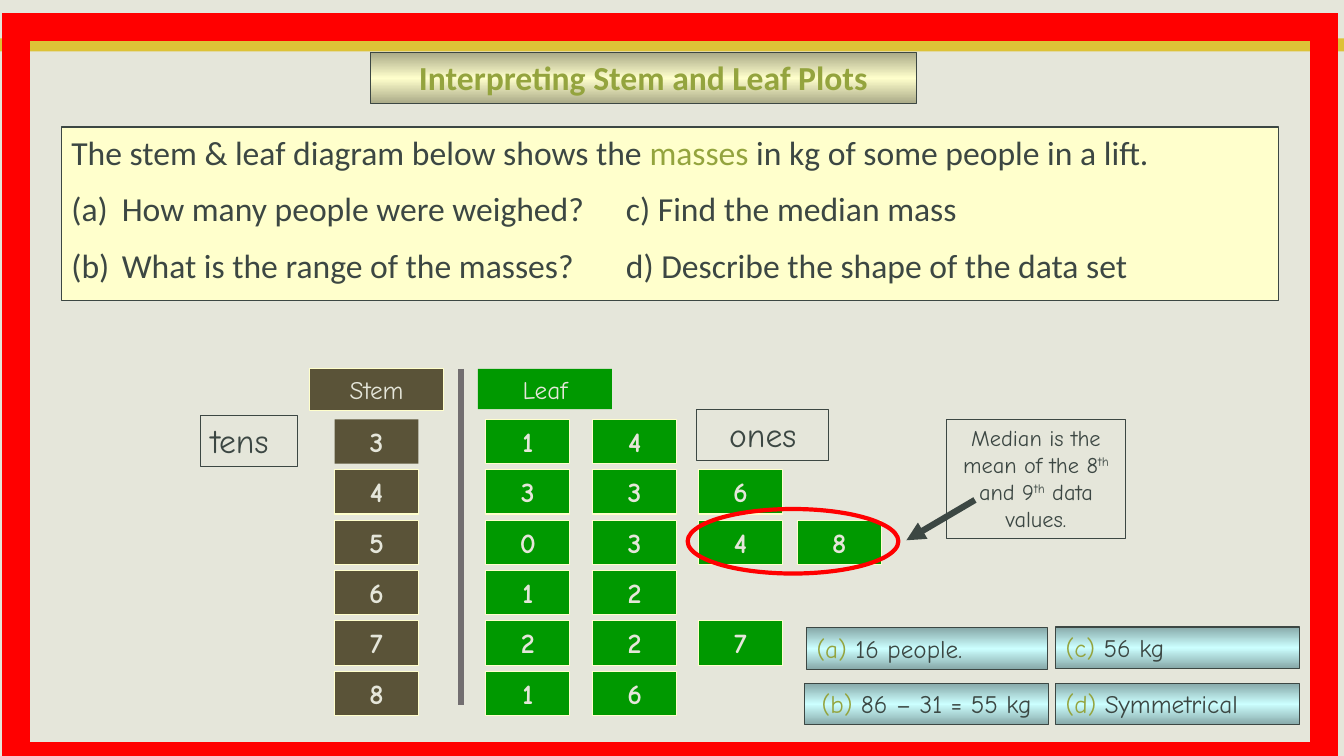
from copy import deepcopy
from dataclasses import dataclass
from typing import Optional

from pptx import Presentation
from pptx.dml.color import RGBColor
from pptx.enum.shapes import MSO_CONNECTOR, MSO_SHAPE
from pptx.enum.text import MSO_ANCHOR, PP_ALIGN
from pptx.oxml.ns import qn
from pptx.oxml.xmlchemy import OxmlElement
from pptx.util import Inches, Pt

CREAM = RGBColor(0xE5, 0xE6, 0xDA)
GOLD = RGBColor(0xDD, 0xC2, 0x37)
YELLOW = RGBColor(0xFF, 0xFF, 0xCC)
KHAKI = RGBColor(0xA9, 0xA9, 0x87)
DARK = RGBColor(0x3C, 0x47, 0x43)
OLIVE = RGBColor(0x94, 0xA4, 0x3E)
BROWN = RGBColor(0x5A, 0x53, 0x38)
GREEN = RGBColor(0x00, 0x99, 0x00)
GREY = RGBColor(0x72, 0x6E, 0x70)
RED = RGBColor(0xFF, 0x00, 0x00)
AQUA = RGBColor(0xCC, 0xFF, 0xFF)
TEAL = RGBColor(0x87, 0xA9, 0xA9)

BODY, HAND = "Calibri", "Comic Neue"
LEFT, CENTER = PP_ALIGN.LEFT, PP_ALIGN.CENTER


@dataclass
class Piece:
    text: str
    color: RGBColor = DARK
    raised: bool = False


@dataclass
class Panel:
    left: float
    top: float
    width: float
    height: float
    lines: list[list[Piece]]
    size: float = 18
    font: str = HAND
    bold: bool = False
    align: PP_ALIGN = CENTER
    fill: Optional[RGBColor] = None
    edge: Optional[RGBColor] = None  # outer colour of a vertical gradient
    line: Optional[RGBColor] = DARK


def add_outline(slide, kind, box, fill=None, line=None, width=0.75):
    """Add a preset shape with a plain fill and line."""
    sp = slide.shapes.add_shape(kind, *(Inches(v) for v in box))
    sp.shadow.inherit = False
    if fill is None:
        sp.fill.background()
    else:
        sp.fill.solid()
        sp.fill.fore_color.rgb = fill
    if line is None:
        sp.line.fill.background()
    else:
        sp.line.color.rgb = line
        sp.line.width = Pt(width)
    return sp


def add_gradient(sp, edge: RGBColor, middle: RGBColor) -> None:
    sp.fill.gradient()
    sp.fill.gradient_angle = 90
    stops = sp._element.spPr.find(qn("a:gradFill")).find(qn("a:gsLst"))
    stops.append(deepcopy(stops[0]))
    for stop, pos, color in zip(sp.fill.gradient_stops, (0, 0.5, 1), (edge, middle, edge)):
        stop.position = pos
        stop.color.rgb = color


def add_panel(slide, panel: Panel):
    box = (panel.left, panel.top, panel.width, panel.height)
    sp = add_outline(slide, MSO_SHAPE.RECTANGLE, box, panel.fill, panel.line)
    if panel.edge is not None:
        add_gradient(sp, panel.edge, panel.fill)
    tf = sp.text_frame
    tf.word_wrap = True
    tf.vertical_anchor = MSO_ANCHOR.TOP
    for i, pieces in enumerate(panel.lines):
        p = tf.add_paragraph() if i else tf.paragraphs[0]
        p.alignment = panel.align
        if i:
            p.space_before = Pt(11.5)
        for piece in pieces:
            r = p.add_run()
            r.text = piece.text
            r.font.name = panel.font
            r.font.size = Pt(panel.size)
            r.font.bold = panel.bold
            r.font.color.rgb = piece.color
            if piece.raised:
                r._r.get_or_add_rPr().set("baseline", "30000")
    return sp


def add_line(slide, start, end, color: RGBColor, arrow: bool = False) -> None:
    cx = slide.shapes.add_connector(
        MSO_CONNECTOR.STRAIGHT, *(Inches(v) for v in (*start, *end)))
    cx.line.color.rgb = color
    cx.line.width = Pt(4.5)
    if arrow:
        tail = OxmlElement("a:tailEnd")
        tail.set("type", "triangle")
        cx.line._get_or_add_ln().append(tail)
    cx._element.spPr.append(OxmlElement("a:effectLst"))


def number_questions(sp) -> None:
    """Hang every line, and letter all but the first."""
    for i, p in enumerate(sp.text_frame.paragraphs):
        pPr = p._p.get_or_add_pPr()
        pPr.set("marL", str(Inches(0.5)))
        pPr.set("indent", str(-Inches(0.5)))
        if i:
            bullet = OxmlElement("a:buAutoNum")
            bullet.set("type", "alphaLcParenBoth")
            pPr.append(bullet)


def main() -> None:
    prs = Presentation()
    prs.slide_width, prs.slide_height = Inches(13.33), Inches(7.5)
    slide = prs.slides.add_slide(prs.slide_layouts[6])
    slide.background.fill.solid()
    slide.background.fill.fore_color.rgb = CREAM
    add_outline(slide, MSO_SHAPE.RECTANGLE, (0, 0.38, 13.33, 0.13), GOLD)

    # Title and questions
    add_panel(slide, Panel(3.67, 0.52, 5.42, 0.51,
                           [[Piece("Interpreting Stem and Leaf Plots", OLIVE)]],
                           24, BODY, True, fill=YELLOW, edge=KHAKI))
    questions = add_panel(slide, Panel(0.61, 1.26, 12.07, 1.72, [
        [Piece("The stem & leaf diagram below shows the "), Piece("masses", OLIVE),
         Piece(" in kg of some people in a lift.")],
        [Piece("How many people were weighed?\tc) Find the median mass")],
        [Piece("What is the range of the masses?\t\td) Describe the shape of the data set")],
    ], 24, BODY, align=LEFT, fill=YELLOW))
    number_questions(questions)

    # Stem and leaf diagram
    add_line(slide, (4.57, 3.66), (4.57, 6.99), GREY)
    add_panel(slide, Panel(3.07, 3.66, 1.33, 0.41, [[Piece("Stem", CREAM)]],
                           fill=BROWN, line=YELLOW))
    add_panel(slide, Panel(4.74, 3.66, 1.33, 0.4, [[Piece("Leaf", CREAM)]],
                           fill=GREEN, line=None))
    leaf_lefts = (4.82, 5.88, 6.93, 7.91)
    plot = {"3": "14", "4": "336", "5": "0348", "6": "12", "7": "227", "8": "16"}
    for row, (stem, leaves) in enumerate(plot.items()):
        cells = [(3.32, stem, BROWN)]
        cells += [(left, leaf, GREEN) for left, leaf in zip(leaf_lefts, leaves)]
        for left, digit, fill in cells:
            line = None if row == 0 and fill == BROWN else YELLOW
            add_panel(slide, Panel(left, 4.16 + 0.5 * row, 0.83, 0.44,
                                   [[Piece(digit, CREAM)]], 20, bold=True,
                                   fill=fill, line=line))
    add_panel(slide, Panel(1.99, 4.12, 0.96, 0.51, [[Piece("tens")]], 24, align=LEFT))
    add_panel(slide, Panel(6.91, 4.06, 1.31, 0.51, [[Piece("ones")]], 24))

    # Median note
    add_outline(slide, MSO_SHAPE.OVAL, (6.82, 5.05, 2.09, 0.64), line=RED, width=3)
    add_line(slide, (9.67, 4.96), (8.99, 5.36), DARK, arrow=True)
    add_panel(slide, Panel(9.39, 4.16, 1.77, 1.18, [[
        Piece("Median is the mean of the 8"), Piece("th", raised=True),
        Piece(" and 9"), Piece("th", raised=True), Piece(" data values.")]], 16))

    # Red frame
    frame = add_outline(slide, MSO_SHAPE.RECTANGLE, (0.16, 0.27, 12.97, 7.23),
                        line=RED, width=20)
    miter = OxmlElement("a:miter")
    miter.set("lim", "800000")
    frame.line._get_or_add_ln().append(miter)

    # Answers
    answers = [
        (8, 6.23, 2.39, "(a)", " 16 people.", LEFT),
        (7.98, 6.78, 2.42, "(b)", " 86 – 31 = 55 kg", CENTER),
        (10.47, 6.22, 2.42, "(c)", " 56 kg", LEFT),
        (10.47, 6.78, 2.42, "(d)", " Symmetrical", LEFT),
    ]
    for left, top, width, letter, answer, align in answers:
        add_panel(slide, Panel(left, top, width, 0.41,
                               [[Piece(letter, OLIVE), Piece(answer)]],
                               align=align, fill=AQUA, edge=TEAL))

    prs.save("out.pptx")


if __name__ == "__main__":
    main()
